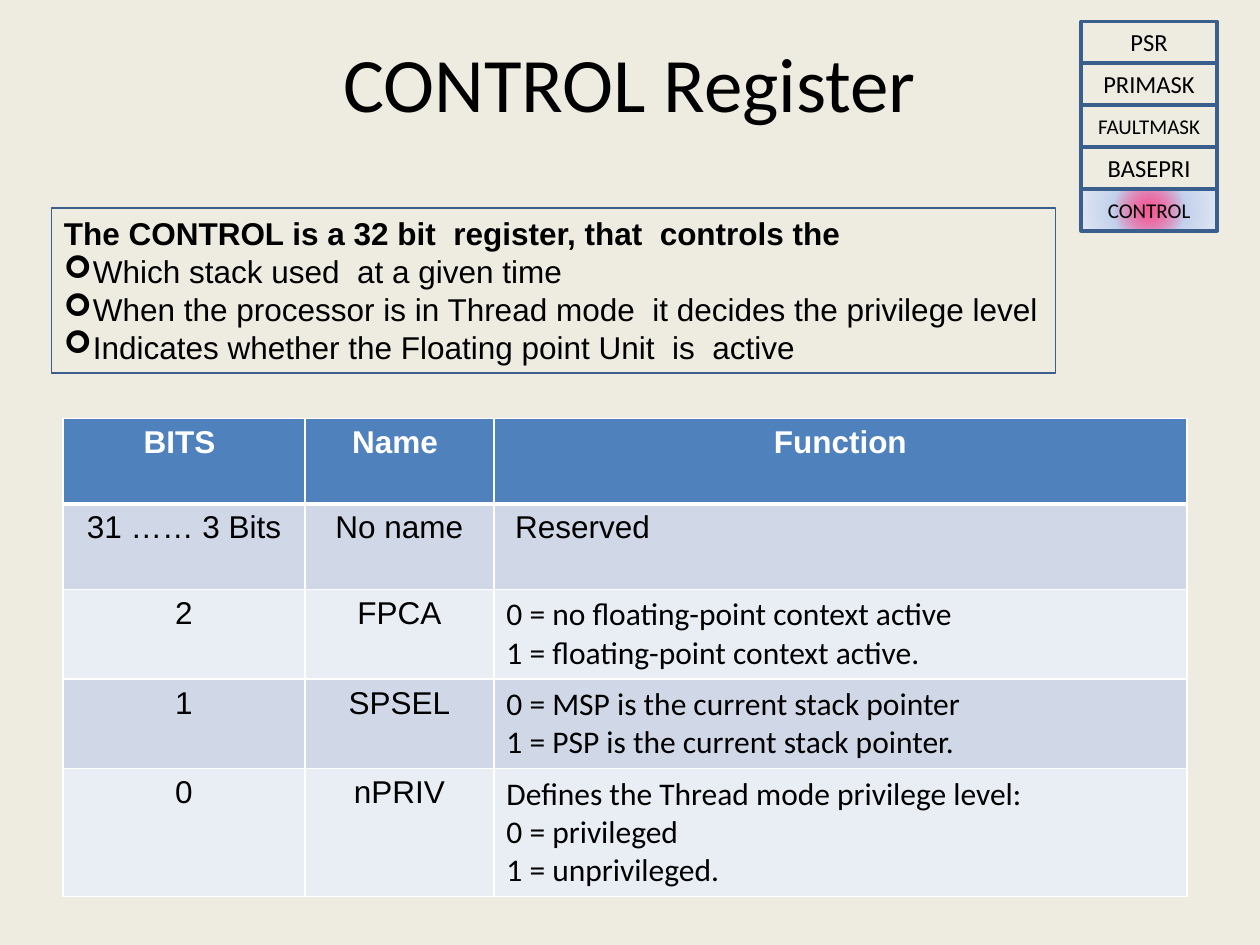
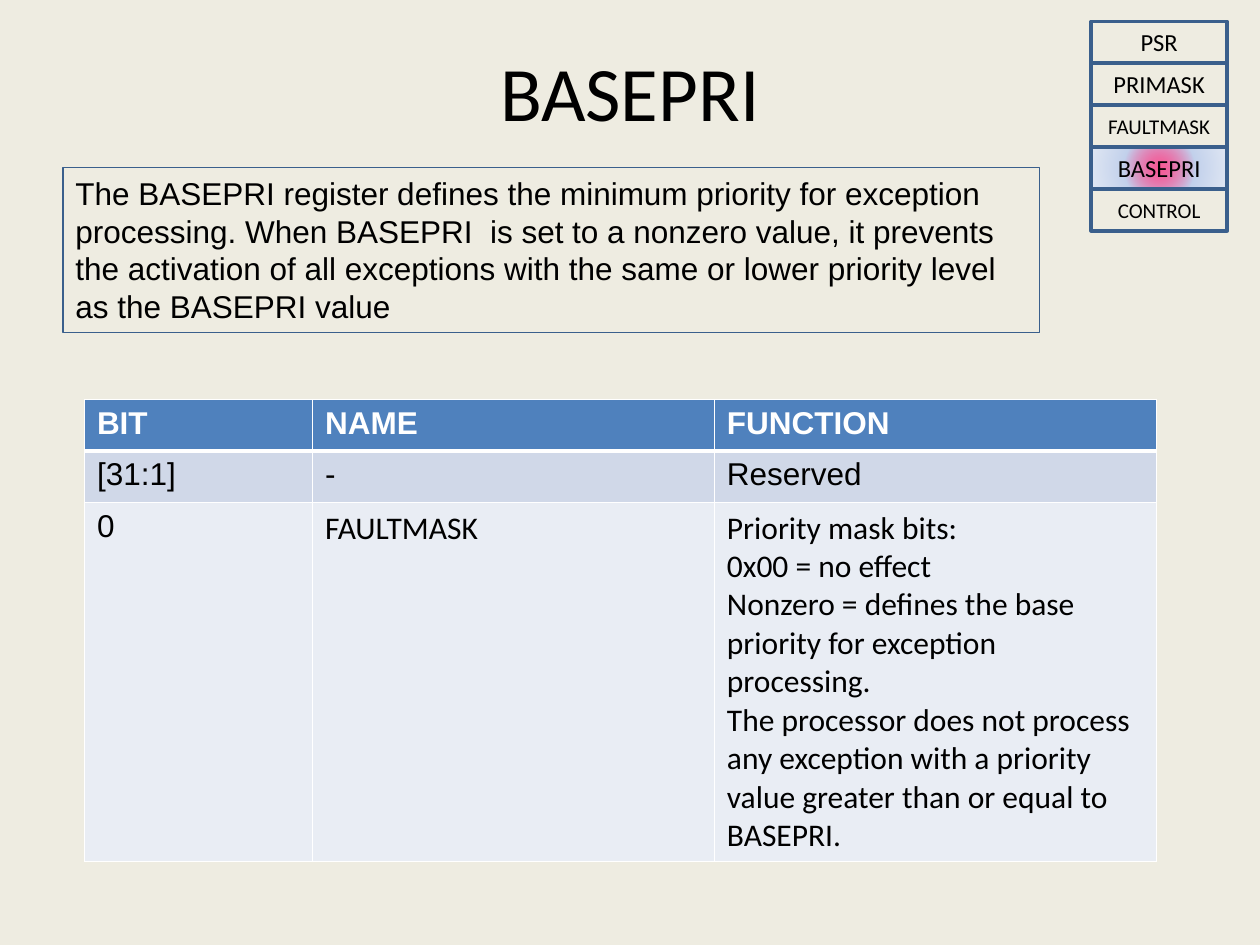
import pptx
import pptx.dml.color
import pptx.enum.shapes
import pptx.enum.text
import pptx.oxml
import pptx.oxml.ns
import pptx.util
from pptx.util import Inches

COLORS = {
    "background": "EEECE1",
    "text": "000000",
    "outline": "3A5F8C",
    "header": "4F81BD",
    "band_dark": "D0D8E8",
    "band_light": "E9EDF4",
    "white": "FFFFFF",
    "glow": "FF0066",
    "glow_middle": "C2D1ED",
    "glow_edge": "E1E8F5",
}
TITLE_FORMAT = {"name": "Calibri", "size": pptx.util.Pt(44), "bold": False}
BODY_FORMAT = {"name": "Arial", "size": pptx.util.Pt(18), "bold": False}
LEAD_FORMAT = {**BODY_FORMAT, "bold": True}
DETAIL_FORMAT = {**BODY_FORMAT, "name": "Calibri"}
REGISTER_SIZES = {"PSR": 14, "PRIMASK": 14, "FAULTMASK": 12, "BASEPRI": 14, "CONTROL": 12}

LEFT = pptx.enum.text.PP_ALIGN.LEFT
CENTER = pptx.enum.text.PP_ALIGN.CENTER
TOP = pptx.enum.text.MSO_ANCHOR.TOP
MIDDLE = pptx.enum.text.MSO_ANCHOR.MIDDLE
NAMESPACE = pptx.oxml.ns.nsdecls("a")


def rgb(color):
    return pptx.dml.color.RGBColor.from_string(COLORS[color])


def write_paragraph(paragraph, text, font_format, color="text", align=LEFT):
    paragraph.alignment = align
    run = paragraph.add_run()
    run.text = text
    for attribute, value in font_format.items():
        setattr(run.font, attribute, value)
    run.font.color.rgb = rgb(color)


def write_lines(frame, lines, font_format, color="text", align=LEFT):
    for index, line in enumerate(lines):
        paragraph = frame.add_paragraph() if index else frame.paragraphs[0]
        write_paragraph(paragraph, line, font_format, color, align)


def add_titled_slide(deck, title, top, height):
    slide = deck.slides.add_slide(deck.slide_layouts[5])
    slide.background.fill.solid()
    slide.background.fill.fore_color.rgb = rgb("background")
    heading = slide.shapes.title
    heading.left, heading.top = Inches(0.5), Inches(top)
    heading.width, heading.height = Inches(9), Inches(height)
    heading.text_frame.vertical_anchor = TOP
    write_paragraph(heading.text_frame.paragraphs[0], title, TITLE_FORMAT, align=CENTER)
    return slide


def add_outlined_box(slide, left, top, width, height, line_width, anchor):
    box = slide.shapes.add_shape(
        pptx.enum.shapes.MSO_SHAPE.RECTANGLE,
        Inches(left), Inches(top), Inches(width), Inches(height))
    box.shadow.inherit = False
    box.fill.background()
    box.line.color.rgb = rgb("outline")
    box.line.width = pptx.util.Pt(line_width)
    box.text_frame.word_wrap = True
    box.text_frame.vertical_anchor = anchor
    return box


def apply_glow(box):
    properties = box.fill._xPr
    plain_fill = properties.find(pptx.oxml.ns.qn("a:noFill"))
    glow = pptx.oxml.parse_xml(
        f'<a:gradFill {NAMESPACE} rotWithShape="1"><a:gsLst>'
        f'<a:gs pos="0"><a:srgbClr val="{COLORS["glow"]}"><a:alpha val="62000"/></a:srgbClr></a:gs>'
        f'<a:gs pos="50000"><a:srgbClr val="{COLORS["glow_middle"]}"/></a:gs>'
        f'<a:gs pos="100000"><a:srgbClr val="{COLORS["glow_edge"]}"/></a:gs>'
        '</a:gsLst><a:path path="circle">'
        '<a:fillToRect l="50000" t="50000" r="50000" b="50000"/></a:path></a:gradFill>')
    properties.replace(plain_fill, glow)


def add_register_stack(slide, left, current):
    for index, (register, size) in enumerate(REGISTER_SIZES.items()):
        box = add_outlined_box(slide, left, 0.17 + index / 3, 1.08, 0.33, 2, MIDDLE)
        if register == current:
            apply_glow(box)
        label_format = {"name": "Calibri", "size": pptx.util.Pt(size), "bold": False}
        write_paragraph(box.text_frame.paragraphs[0], register, label_format, align=CENTER)


def add_arrow_bullet(paragraph):
    properties = paragraph._p.get_or_add_pPr()
    indent = Inches(0.23)
    properties.set("marL", str(indent))
    properties.set("indent", str(-indent))
    for bullet in ('<a:buFont {} typeface="Wingdings"/>', '<a:buChar {} char="➢"/>'):
        properties.append(pptx.oxml.parse_xml(bullet.format(NAMESPACE)))


def add_purpose_list(slide, lead, purposes):
    box = add_outlined_box(slide, 0.41, 1.65, 7.97, 1.31, 0.75, TOP)
    frame = box.text_frame
    frame.word_wrap = False
    write_paragraph(frame.paragraphs[0], lead, LEAD_FORMAT)
    for purpose in purposes:
        paragraph = frame.add_paragraph()
        write_paragraph(paragraph, purpose, BODY_FORMAT)
        add_arrow_bullet(paragraph)


def add_description(slide, description):
    box = add_outlined_box(slide, 0.5, 1.33, 7.75, 1.31, 0.75, TOP)
    write_paragraph(box.text_frame.paragraphs[0], description, BODY_FORMAT)


def set_borders(cell, widths):
    properties = cell._tc.get_or_add_tcPr()
    for side, width in widths.items():
        properties.append(pptx.oxml.parse_xml(
            f'<a:ln{side} {NAMESPACE} w="{pptx.util.Pt(width)}"><a:solidFill>'
            f'<a:srgbClr val="{COLORS["white"]}"/></a:solidFill></a:ln{side}>'))


def add_bit_table(slide, left, top, column_widths, row_height, rows, header_align, body_aligns):
    table = slide.shapes.add_table(
        len(rows), len(column_widths), Inches(left), Inches(top),
        Inches(sum(column_widths)), Inches(row_height * len(rows))).table
    for column, width in zip(table.columns, column_widths):
        column.width = Inches(width)
    for row_index, row in enumerate(rows):
        is_header = row_index == 0
        band = "header" if is_header else ("band_light", "band_dark")[row_index % 2]
        borders = {"L": 1, "R": 1, "T": 3 if row_index == 1 else 1, "B": 3 if is_header else 1}
        for column_index, content in enumerate(row):
            cell = table.cell(row_index, column_index)
            set_borders(cell, borders)
            cell.fill.solid()
            cell.fill.fore_color.rgb = rgb(band)
            if is_header:
                write_lines(cell.text_frame, [content], LEAD_FORMAT, "white", header_align)
            elif isinstance(content, list):
                write_lines(cell.text_frame, content, DETAIL_FORMAT)
            else:
                write_lines(cell.text_frame, [content], BODY_FORMAT,
                            align=body_aligns[column_index])


def build_control_slide(deck):
    slide = add_titled_slide(deck, "CONTROL Register", 0.23, 1.25)
    add_register_stack(slide, 8.58, "CONTROL")
    add_purpose_list(slide, "The CONTROL is a 32 bit  register, that  controls the", [
        "Which stack used  at a given time",
        "When the processor is in Thread mode  it decides the privilege level",
        "Indicates whether the Floating point Unit  is  active",
    ])
    control_bits = [
        ["BITS ", "Name ", "Function"],
        ["31 …… 3 Bits", "No name", " Reserved"],
        ["2", "FPCA", ["0 = no floating-point context active",
                       "1 = floating-point context active."]],
        ["1", "SPSEL", ["0 = MSP is the current stack pointer",
                        "1 = PSP is the current stack pointer."]],
        ["0", "nPRIV", ["Defines the Thread mode privilege level:",
                        "0 = privileged", "1 = unprivileged."]],
    ]
    add_bit_table(slide, 0.5, 3.32, [1.92, 1.5, 5.5], 0.68, control_bits,
                  CENTER, [CENTER, CENTER, LEFT])


def build_basepri_slide(deck):
    slide = add_titled_slide(deck, "BASEPRI", 0.3, 0.78)
    add_register_stack(slide, 8.66, "BASEPRI")
    add_description(slide, (
        "The BASEPRI register defines the minimum priority for exception processing. "
        "When BASEPRI  is set to a nonzero value, it prevents the activation of all "
        "exceptions with the same or lower priority level as the BASEPRI value"))
    basepri_bits = [
        ["BIT", "NAME", "FUNCTION"],
        ["[31:1]", "-", "Reserved"],
        ["0", ["FAULTMASK"], [
            "Priority mask bits:",
            "0x00 = no effect",
            "Nonzero = defines the base priority for exception processing.",
            "The processor does not process any exception with a priority value "
            "greater than or equal to BASEPRI.",
        ]],
    ]
    add_bit_table(slide, 0.67, 3.17, [1.81, 3.19, 3.51], 0.41, basepri_bits,
                  LEFT, [LEFT, LEFT, LEFT])


def main():
    deck = pptx.Presentation()
    deck.slide_width, deck.slide_height = Inches(10), Inches(7.5)
    build_control_slide(deck)
    build_basepri_slide(deck)
    deck.save("out.pptx")


if __name__ == "__main__":
    main()
